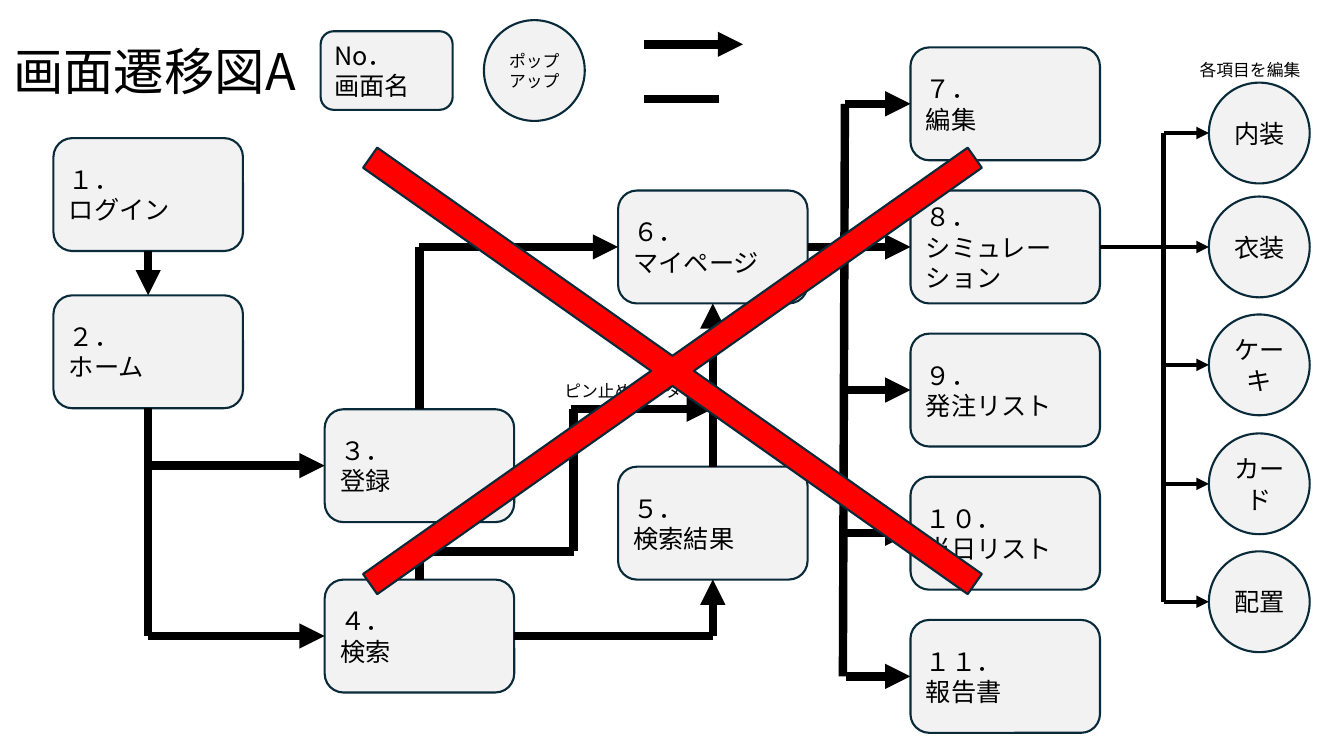
"""Build the screen flow slide with its numbered screens, pop-ups and red cross."""
from lxml.etree import SubElement
from pptx import Presentation
from pptx.dml.color import RGBColor as Rgb
from pptx.enum.shapes import MSO_CONNECTOR as Conn, MSO_SHAPE as Kind
from pptx.enum.text import MSO_ANCHOR as Anchor, MSO_AUTO_SIZE as Auto, PP_ALIGN as Align
from pptx.oxml.ns import qn
from pptx.util import Inches, Pt

HUES = {"ink": "000000", "edge": "092A39", "pale": "F2F2F2", "cross": "FF0000"}
FACE = "Noto Sans CJK JP"
TITLE = ("画面遷移図A", (0.03, 0.05, 3.19, 0.92))
WIDE, HIGH, DISC = 1.88, 1.12, 1
TOP, STEP, RIGHT = 0.47, 1.42, 9.03
HOME, MID, RAIL, FORK = 1.47, 4.16, 8.38, 11.54

LEFT = {
    1: ("１．", "ログイン", 0.53, 1.37),
    2: ("２．", "ホーム", 0.53, 2.93),
    3: ("３．", "登録", 3.22, 4.06),
    4: ("４．", "検索", 3.22, 5.75),
    5: ("５．", "検索結果", 6.13, 4.63),
    6: ("６．", "マイページ", 6.13, 1.89),
}
TASKS = [("７．", "編集"), ("８．", "シミュレーション"), ("９．", "発注リスト"),
         ("１０．", "当日リスト"), ("１１．", "報告書")]
KEY = (["No．", "画面名"], (3.18, 0.31, 1.31, 0.78))
POPS = [("内装", 0.82), ("衣装", 1.95), ("ケーキ", 3.12), ("カード", 4.3), ("配置", 5.47)]
HINT = ("ポップアップ", 4.8, 0.2)
NOTES = [("ピン止めデータ", 5.5, 3.73), ("各項目を編集", 11.8, 0.54)]

# fmt: off
ENDS = {"top": 0, "left": 1, "bottom": 2, "right": 3}
LINKS = [
    ((6.39, 0.44), (7.37, 0.44), True),
    ((6.39, 0.98), (7.13, 0.98), False),
    ((2, "bottom"), (HOME, 6.31), False),
    ((1, "bottom"), (2, "top"), True),
    ((HOME, 4.62), (3, "left"), True),
    ((HOME, 6.31), (4, "left"), True),
    ((MID, 2.45), (3, "top"), False),
    ((MID, 2.45), (6, "left"), True),
    ((4, "right"), (7.07, 6.31), False),
    ((7.07, 6.31), (5, "bottom"), True),
    ((5, "top"), (6, "bottom"), True),
    ((RAIL, 1.03), (8.36, 6.71), False),
    ((RAIL, 1.03), (7, "left"), True),
    ((6, "right"), (8, "left"), True),
    ((8.36, 3.87), (9, "left"), True),
    ((8.39, 5.29), (10, "left"), True),
    ((8.39, 6.71), (11, "left"), True),
    ((4, "top"), (MID, 5.47), False),
    ((5.69, 5.47), (MID, 5.47), False),
    ((5.69, 5.47), (5.69, 4.06), False),
    ((5.66, 4.06), (7.06, 4.06), True),
]


def hue(name):
    return Rgb.from_string(HUES[name])


def put(item, traits):
    for name, value in traits.items():
        setattr(item, name, value)


def write(shape, lines, size, align=Align.LEFT, space=None, **frame):
    text = shape.text_frame
    put(text, {"word_wrap": True, **frame})
    for num, line in enumerate(lines):
        para = text.add_paragraph() if num else text.paragraphs[0]
        put(para, {"alignment": align, "line_spacing": space})
        run = para.add_run()
        run.text = line
        put(run.font, {"size": Pt(size), "name": FACE})
        run.font.color.rgb = hue("ink")
        SubElement(run.font._element, qn("a:ea"), typeface=FACE)


def draw(slide, kind, area, fill="pale"):
    shape = slide.shapes.add_shape(kind, *map(Inches, area))
    shape.shadow.inherit = False
    shape.fill.solid()
    shape.fill.fore_color.rgb = hue(fill)
    shape.line.color.rgb = hue("edge")
    shape.line.width = Pt(1.5)
    return shape


def screen(slide, lines, area):
    shape = draw(slide, Kind.ROUNDED_RECTANGLE, area)
    write(shape, lines, 18, vertical_anchor=Anchor.MIDDLE)
    return shape


def popup(slide, label, left, top, size=18):
    shape = draw(slide, Kind.OVAL, (left, top, DISC, DISC))
    write(shape, [label], size, Align.CENTER, vertical_anchor=Anchor.MIDDLE)


def link(slide, boxes, start, end, arrow, width=6):
    spots = [(0, 0) if isinstance(spot[1], str) else spot for spot in (start, end)]
    line = slide.shapes.add_connector(Conn.STRAIGHT, *(Inches(n) for spot in spots for n in spot))
    for spot, join in ((start, line.begin_connect), (end, line.end_connect)):
        if isinstance(spot[1], str):
            join(boxes[spot[0]], ENDS[spot[1]])
    line.line.color.rgb = hue("ink")
    line.line.width = Pt(width)
    props = line._element.spPr
    if arrow:
        SubElement(props.find(qn("a:ln")), qn("a:tailEnd"), type="triangle")
    SubElement(props, qn("a:effectLst"))


def main():
    deck = Presentation()
    put(deck, {"slide_width": Inches(13.33), "slide_height": Inches(7.5)})
    slide = deck.slides.add_slide(deck.slide_layouts[5])

    label, area = TITLE
    title = slide.shapes.title
    put(title, dict(zip(("left", "top", "width", "height"), map(Inches, area))))
    write(title, [label], 36, space=1.5, vertical_anchor=Anchor.TOP,
          auto_size=Auto.SHAPE_TO_FIT_TEXT)

    plan = dict(LEFT)
    for num, task in enumerate(TASKS):
        plan[7 + num] = (*task, RIGHT, TOP + num * STEP)
    boxes = {num: screen(slide, (mark, name), (left, top, WIDE, HIGH))
             for num, (mark, name, left, top) in plan.items()}
    screen(slide, *KEY)

    popup(slide, *HINT, size=12)
    for label, top in POPS:
        popup(slide, label, 11.99, top)

    for label, left, top in NOTES:
        note = slide.shapes.add_textbox(*map(Inches, (left, top, 1.4, 0.3)))
        write(note, [label], 12, auto_size=Auto.SHAPE_TO_FIT_TEXT)

    for start, end, arrow in LINKS:
        link(slide, boxes, start, end, arrow)

    rows = [top + DISC / 2 for _, top in POPS]
    link(slide, boxes, (FORK, rows[0]), (FORK, rows[-1]), False, 3)
    for row in rows:
        start = (8, "right") if row == rows[1] else (FORK, row)
        link(slide, boxes, start, (11.99, row), True, 3)

    cross = draw(slide, Kind.MATH_MULTIPLY, (0.9, -0.39, 11.54, 8.14), "cross")
    cross.adjustments[0] = 0.03
    deck.save("out.pptx")


if __name__ == "__main__":
    main()
